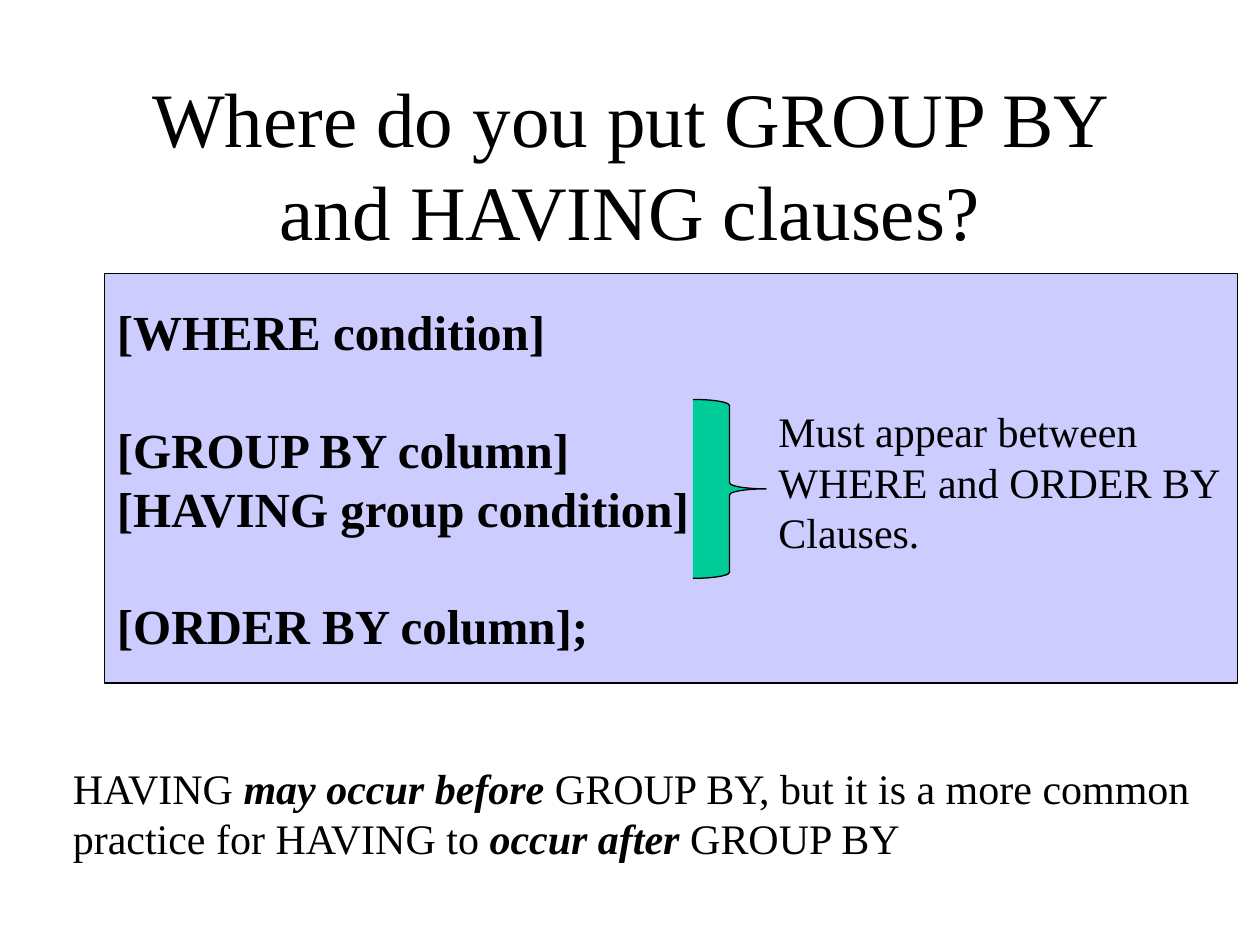
from pptx import Presentation
from pptx.dml.color import RGBColor
from pptx.enum.shapes import MSO_SHAPE
from pptx.enum.text import MSO_ANCHOR, MSO_AUTO_SIZE, PP_ALIGN
from pptx.util import Inches, Pt

BLACK = RGBColor(0x00, 0x00, 0x00)
LAVENDER = RGBColor(0xCC, 0xCC, 0xFF)
GREEN = RGBColor(0x00, 0xCC, 0x99)

prs = Presentation()
prs.slide_width, prs.slide_height = Inches(10), Inches(7.5)
slide = prs.slides.add_slide(prs.slide_layouts[6])


def add_outlined(kind, left, top, width, height, color):
    shape = slide.shapes.add_shape(
        kind, Inches(left), Inches(top), Inches(width), Inches(height))
    shape.shadow.inherit = False
    shape.fill.solid()
    shape.fill.fore_color.rgb = color
    shape.line.color.rgb = BLACK
    shape.line.width = Pt(0.75)
    return shape


def write_lines(frame, lines, size, bold=False, align=PP_ALIGN.LEFT):
    """Write one paragraph per line; a line is a list of (text, emphasised)."""
    for i, line in enumerate(lines):
        paragraph = frame.paragraphs[0] if i == 0 else frame.add_paragraph()
        paragraph.alignment = align
        for text, emphasised in line:
            run = paragraph.add_run()
            run.text = text
            run.font.name = "Times New Roman"
            run.font.size = Pt(size)
            run.font.bold = bold or emphasised
            run.font.italic = emphasised
            run.font.color.rgb = BLACK


# Title
title = slide.shapes.add_textbox(
    Inches(0.75), Inches(0.67), Inches(8.5), Inches(1.25)).text_frame
title.word_wrap = True
title.vertical_anchor = MSO_ANCHOR.MIDDLE
write_lines(title, [[("Where do you put GROUP BY and HAVING clauses?", False)]],
            44, align=PP_ALIGN.CENTER)

# Clause order panel, with a one-line gap around the grouping clauses
clauses = add_outlined(
    MSO_SHAPE.RECTANGLE, 0.83, 2.17, 8.99, 3.25, LAVENDER).text_frame
clauses.word_wrap = True
clauses.vertical_anchor = MSO_ANCHOR.MIDDLE
clause_lines = ["[WHERE condition]", "[GROUP BY column]",
                "[HAVING group condition]", "[ORDER BY column];"]
write_lines(clauses, [[(line, False)] for line in clause_lines], 28, bold=True)
for i in (0, 2):
    clauses.paragraphs[i].space_after = Pt(33.5)

# Brace around the grouping clauses
add_outlined(MSO_SHAPE.RIGHT_BRACE, 5.5, 3.17, 0.58, 1.42, GREEN)

# Remark beside the brace and note below the panel
remark_lines = [[("Must appear between", False)],
                [("WHERE and ORDER BY", False)],
                [("Clauses.", False)]]
note_lines = [[("HAVING ", False), ("may occur before ", True),
               ("GROUP BY, but it is a more common", False)],
              [("practice for HAVING to ", False), ("occur after ", True),
               ("GROUP BY", False)]]
for left, top, width, height, lines in [
        (6.08, 3.17, 3.74, 1.31, remark_lines),
        (0.48, 6, 9.13, 0.91, note_lines)]:
    frame = slide.shapes.add_textbox(
        Inches(left), Inches(top), Inches(width), Inches(height)).text_frame
    frame.word_wrap = False
    frame.auto_size = MSO_AUTO_SIZE.SHAPE_TO_FIT_TEXT
    write_lines(frame, lines, 24)

prs.save("out.pptx")
